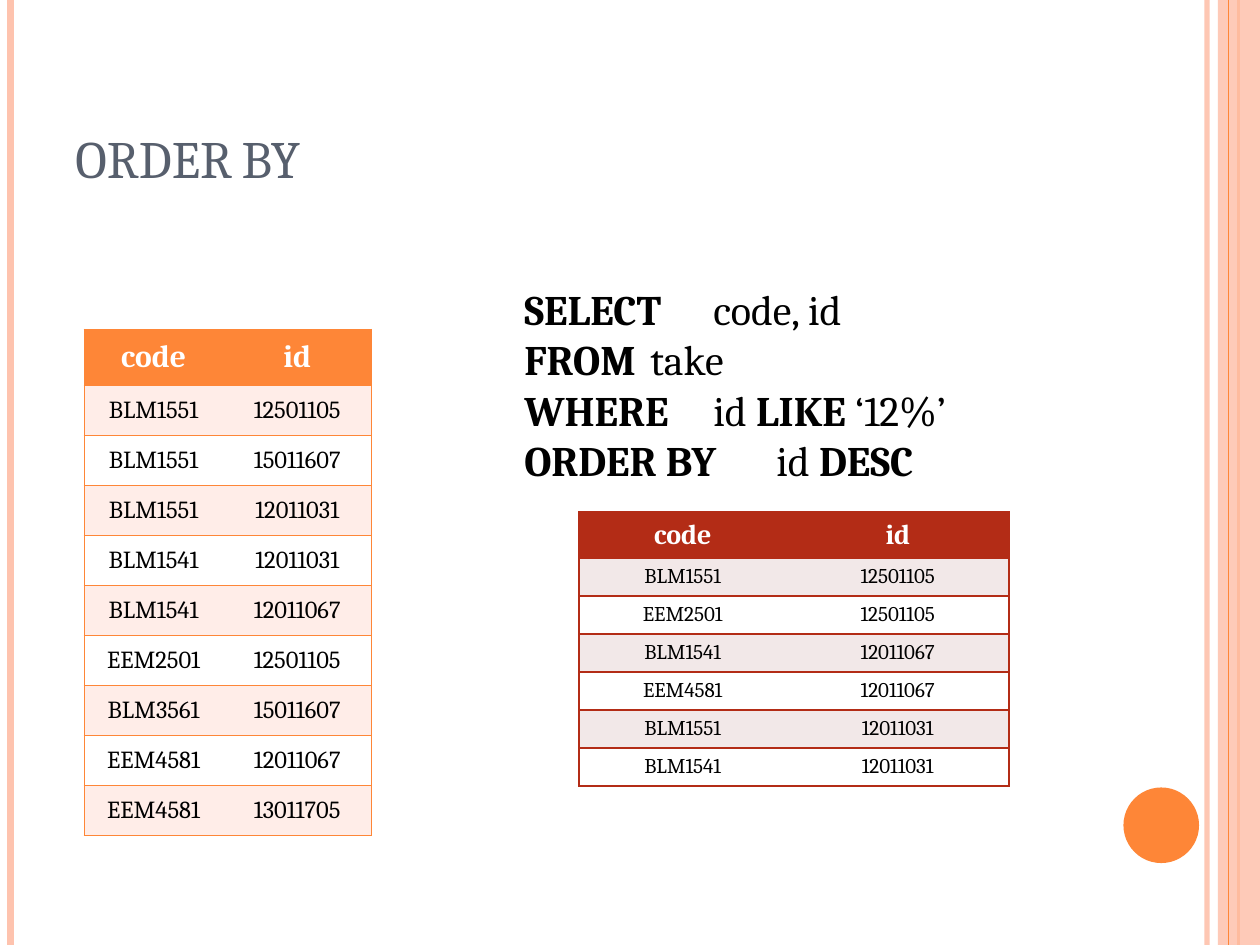
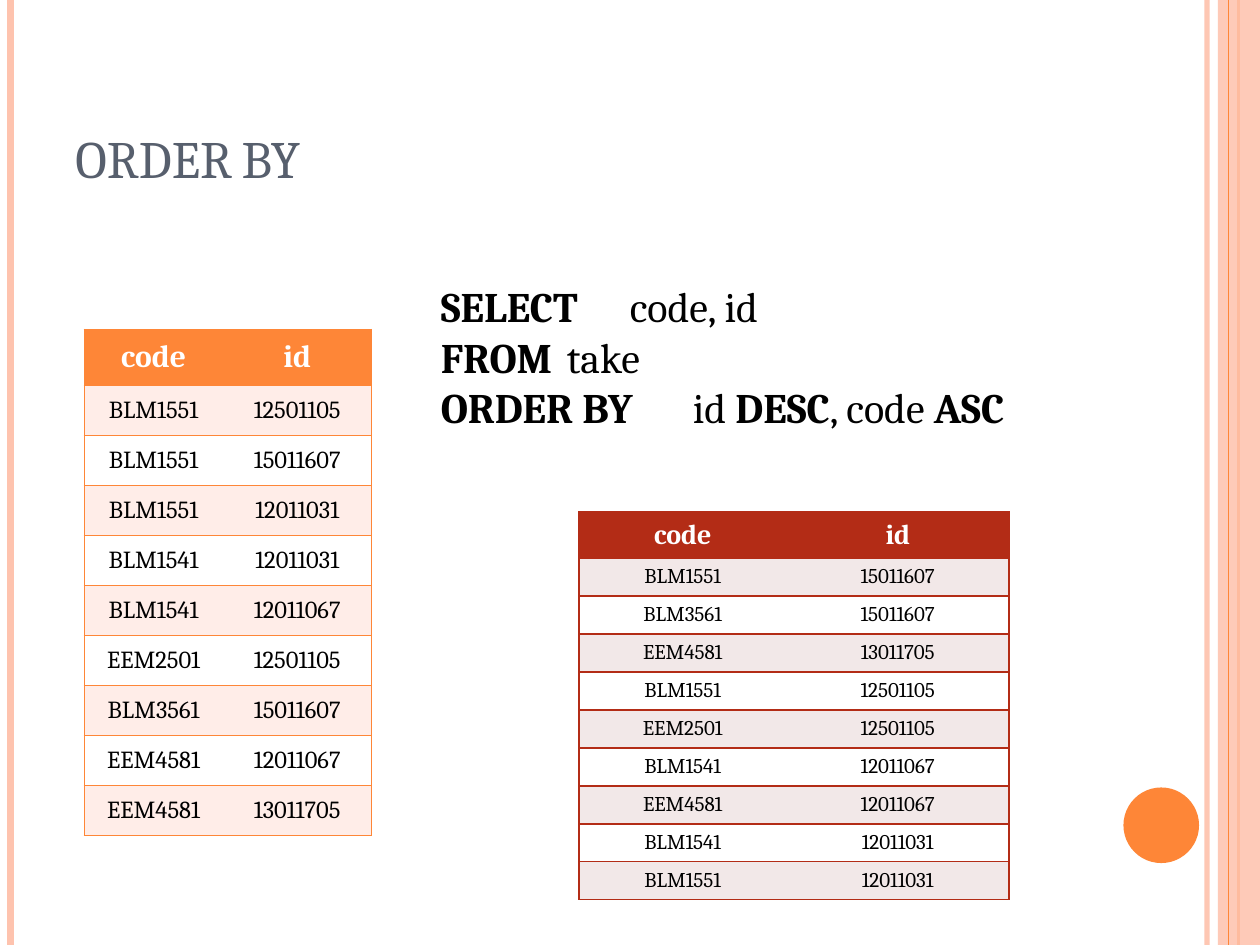
from lxml import etree
from pptx import Presentation
from pptx.dml.color import RGBColor
from pptx.enum.shapes import MSO_CONNECTOR, MSO_SHAPE
from pptx.enum.text import MSO_ANCHOR, PP_ALIGN
from pptx.oxml.ns import qn
from pptx.util import Pt

LINE = MSO_CONNECTOR.STRAIGHT
RECT, OVAL = MSO_SHAPE.RECTANGLE, MSO_SHAPE.OVAL
MIDDLE, BOTTOM = MSO_ANCHOR.MIDDLE, MSO_ANCHOR.BOTTOM
CENTER = PP_ALIGN.CENTER

WIDTH, HEIGHT = 720, 540
FONT = "Cambria"
ORANGE, PEACH, RED = "FE8637", "FEC3AE", "B32C16"
SLATE, BLACK, WHITE = "575F6D", "000000", "FFFFFF"

# x, colour, width, opacity in percent
RULES = [(689.8, PEACH, 3, 93), (6, PEACH, 4.5, 100), (707.8, ORANGE, 1.5, 100)]
EDGE = (702, ORANGE, 0.75, 100)

TAKE = {"box": (48.2, 188.4), "cols": (79.2, 85), "head": 32, "row": 28.6,
        "sizes": (18, 14), "main": ORANGE, "band": "FFEDE8"}
RESULT = {"box": (330.9, 292.5), "cols": (118.5, 127.3), "head": 24.5, "row": 21.7,
          "sizes": (16, 12), "main": RED, "band": "F2E8E8"}

TAKEN = [
    ("BLM1551", "12501105"), ("BLM1551", "15011607"), ("BLM1551", "12011031"),
    ("BLM1541", "12011031"), ("BLM1541", "12011067"), ("EEM2501", "12501105"),
    ("BLM3561", "15011607"), ("EEM4581", "12011067"), ("EEM4581", "13011705"),
]
LIKE_12 = [
    ("BLM1551", "12501105"), ("EEM2501", "12501105"), ("BLM1541", "12011067"),
    ("EEM4581", "12011067"), ("BLM1551", "12011031"), ("BLM1541", "12011031"),
]
SORTED = [
    ("BLM1551", "15011607"), ("BLM3561", "15011607"), ("EEM4581", "13011705"),
    ("BLM1551", "12501105"), ("EEM2501", "12501105"), ("BLM1541", "12011067"),
    ("EEM4581", "12011067"), ("BLM1541", "12011031"), ("BLM1551", "12011031"),
]

# Query lines: pieces alternate between bold and plain, bold first
SLIDES = [
    ((292.5, 158.4, 331.9, 123.8),
     [("SELECT \t", "code, id"), ("FROM\t", "take"),
      ("WHERE\t", "id ", "LIKE", " ‘12%’"), ("ORDER BY\t", "id ", "DESC")],
     LIKE_12),
    ((244.8, 156.8, 427, 94.3),
     [("SELECT \t", "code, id"), ("FROM\t", "take"),
      ("ORDER BY\t", "id ", "DESC", ", code", " ASC")],
     SORTED),
]


def color(value):
    return RGBColor.from_string(value)


def points(*values):
    return [Pt(value) for value in values]


def fade(shape, percent):
    """Set the opacity of every colour in the shape."""
    if percent < 100:
        for node in shape.element.spPr.iter(qn("a:srgbClr")):
            etree.SubElement(node, qn("a:alpha"), val=str(percent * 1000))


def add_run(para, text, size, tint, bold=False):
    run = para.add_run()
    run.text = text
    look = {"name": FONT, "size": Pt(size), "bold": bold}
    for key, value in look.items():
        setattr(run.font, key, value)
    run.font.color.rgb = color(tint)
    return run


def add_rule(slide, x, tint, width, percent):
    rule = slide.shapes.add_connector(LINE, *points(x, 0, x, HEIGHT))
    rule.line.color.rgb = color(tint)
    rule.line.width = Pt(width)
    fade(rule, percent)
    etree.SubElement(rule.element.spPr, qn("a:effectLst"))


def add_solid(slide, kind, box, tint, percent=100):
    shape = slide.shapes.add_shape(kind, *points(*box))
    shape.shadow.inherit = False
    shape.fill.solid()
    shape.fill.fore_color.rgb = color(tint)
    shape.line.fill.background()
    fade(shape, percent)


def add_frame(slide):
    """Draw the side bands and the disc that all slides share."""
    for rule in RULES:
        add_rule(slide, *rule)
    add_solid(slide, RECT, (696, 0, WIDTH - 696, HEIGHT), PEACH, 87)
    add_rule(slide, *EDGE)
    add_solid(slide, OVAL, (642, 450, 43.2, 43.2), ORANGE)


def add_box(slide, box):
    frame = slide.shapes.add_textbox(*points(*box)).text_frame
    frame.word_wrap = True
    return frame


def add_title(slide, text):
    frame = add_box(slide, (36, 21.6, 588, 90))
    frame.vertical_anchor = BOTTOM
    run = add_run(frame.paragraphs[0], text, 30, SLATE)
    run.font._element.set("cap", "small")


def add_query(slide, box, lines):
    frame = add_box(slide, box)
    for i, line in enumerate(lines):
        para = frame.add_paragraph() if i else frame.paragraphs[0]
        for j, piece in enumerate(line):
            add_run(para, piece, 24, BLACK, bold=j % 2 == 0)


def set_edges(cell, tint, sides):
    """Line the given sides of the cell and clear the others."""
    props = cell._tc.get_or_add_tcPr()
    for side in "LRTB":
        edge = etree.SubElement(props, qn("a:ln" + side), w=str(Pt(1)))
        if side in sides:
            fill = etree.SubElement(edge, qn("a:solidFill"))
            etree.SubElement(fill, qn("a:srgbClr"), val=tint)
        else:
            etree.SubElement(edge, qn("a:noFill"))


def add_grid(slide, style, rows):
    cols, head, step = style["cols"], style["head"], style["row"]
    size = (sum(cols), head + step * len(rows))
    grid = slide.shapes.add_table(len(rows) + 1, len(cols),
                                  *points(*style["box"], *size)).table
    for col, width in zip(grid.columns, cols):
        col.width = Pt(width)
    for r, values in enumerate([("code", "id"), *rows]):
        top = r == 0
        grid.rows[r].height = Pt(head if top else step)
        back = style["main"] if top else style["band"] if r % 2 else WHITE
        for c, text in enumerate(values):
            cell = grid.cell(r, c)
            set_edges(cell, style["main"], "RTB" if c else "LTB")
            cell.fill.solid()
            cell.fill.fore_color.rgb = color(back)
            cell.vertical_anchor = MIDDLE
            para = cell.text_frame.paragraphs[0]
            para.alignment = CENTER
            add_run(para, text, style["sizes"][0 if top else 1],
                    WHITE if top else BLACK, bold=top)


def main():
    deck = Presentation()
    deck.slide_width, deck.slide_height = points(WIDTH, HEIGHT)
    for box, query, result in SLIDES:
        slide = deck.slides.add_slide(deck.slide_layouts[6])
        add_frame(slide)
        add_title(slide, "ORDER BY")
        add_grid(slide, TAKE, TAKEN)
        add_query(slide, box, query)
        add_grid(slide, RESULT, result)
    deck.save("out.pptx")


if __name__ == "__main__":
    main()
